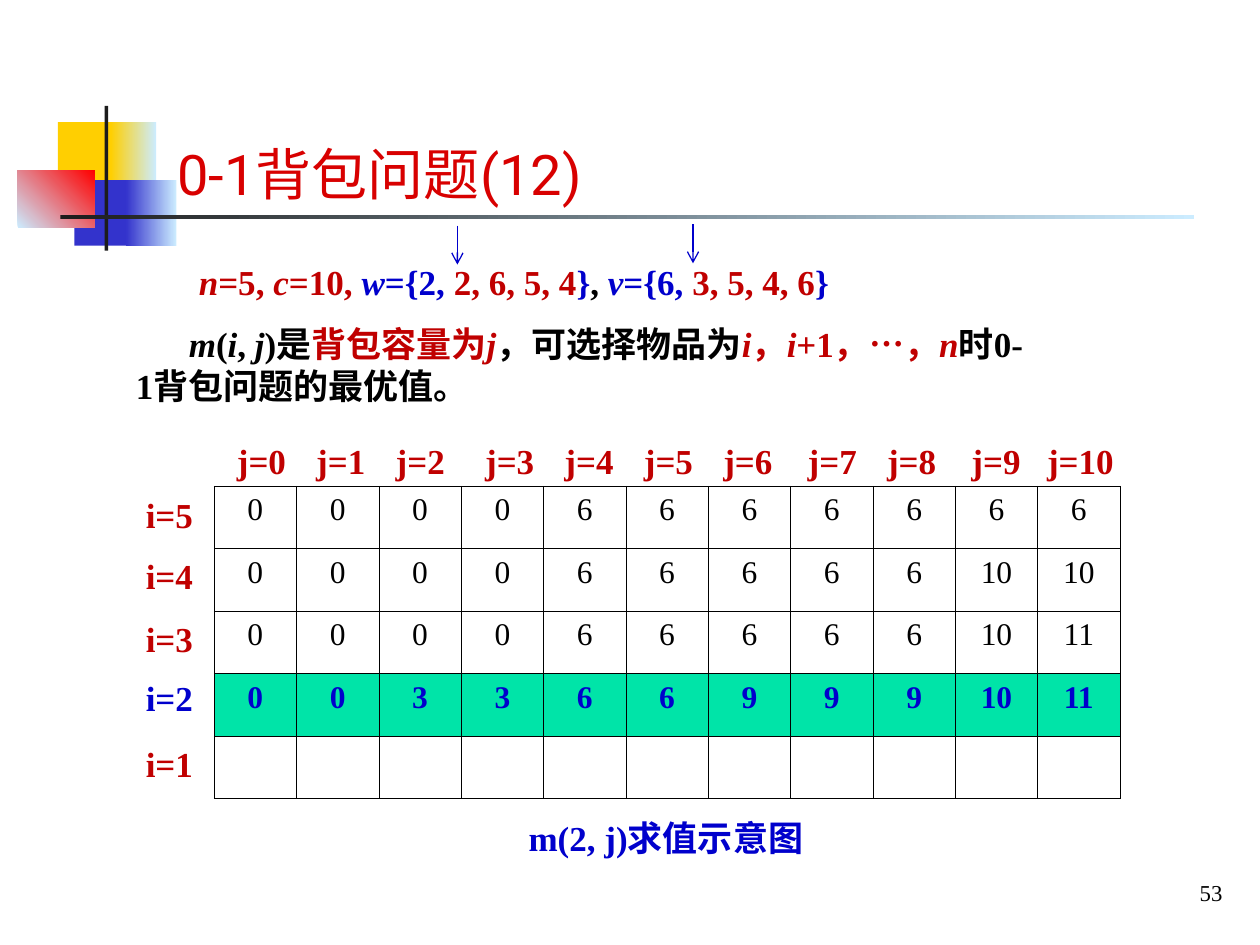
import dataclasses

import lxml.etree
import pptx
import pptx.dml.color
import pptx.enum.shapes
import pptx.enum.text
import pptx.oxml
import pptx.oxml.ns
import pptx.util

Inches = pptx.util.Inches
Pt = pptx.util.Pt
Align = pptx.enum.text.PP_ALIGN
Anchor = pptx.enum.text.MSO_ANCHOR
qn = pptx.oxml.ns.qn


@dataclasses.dataclass(frozen=True)
class Theme:
    body_font: str = "Times New Roman"
    title_font: str = "Roboto"
    title_color: str = "D80000"
    red: str = "C00000"
    blue: str = "0000CC"
    black: str = "000000"
    highlight: str = "00E4A8"
    yellow: str = "FFCF01"
    indigo: str = "3333CC"
    pale: str = "CCECFF"
    bright_red: str = "FF0000"
    charcoal: str = "1C1C1C"
    title_size: int = 32
    body_size: int = 20
    cell_size: int = 18
    number_size: int = 13


THEME = Theme()
VALUES = [
    [0, 0, 0, 0, 6, 6, 6, 6, 6, 6, 6],
    [0, 0, 0, 0, 6, 6, 6, 6, 6, 10, 10],
    [0, 0, 0, 0, 6, 6, 6, 6, 6, 10, 11],
    [0, 0, 3, 3, 6, 6, 9, 9, 9, 10, 11],
    [""] * 11,
]
HIGHLIGHT_ROW = 3
ROW_LABEL_TOPS = [0.01, 0.49, 0.99, 1.46, 1.98]
COLUMN_LABEL_LEFTS = [0.08, 0.71, 1.34, 2.05, 2.68, 3.31, 3.94, 4.61, 5.24, 5.91, 6.51]


def rgb(color):
    return pptx.dml.color.RGBColor.from_string(color)


def style_font(font, size, color, name=THEME.body_font, bold=False):
    font.name = name
    font.size = Pt(size)
    font.bold = bold
    font.color.rgb = rgb(color)


def add_text_box(slide, left, top, width, height, wrap=False, anchor=Anchor.TOP):
    shape = slide.shapes.add_textbox(Inches(left), Inches(top), Inches(width), Inches(height))
    shape.text_frame.word_wrap = wrap
    shape.text_frame.vertical_anchor = anchor
    return shape.text_frame.paragraphs[0]


def add_label(slide, box, text, color, size=THEME.body_size, align=Align.CENTER,
              name=THEME.body_font, bold=True, anchor=Anchor.TOP):
    paragraph = add_text_box(slide, *box, anchor=anchor)
    paragraph.text = text
    paragraph.alignment = align
    style_font(paragraph.font, size, color, name, bold)


def add_rich_text(slide, box, pieces, wrap=False):
    paragraph = add_text_box(slide, *box, wrap=wrap)
    style_font(paragraph.font, THEME.body_size, THEME.black, bold=True)
    for text, color, italic in pieces:
        run = paragraph.add_run()
        run.text = text
        style_font(run.font, THEME.body_size, color, bold=True)
        run.font.italic = italic
    return paragraph


def add_block(slide, left, top, width, height, color, end_color=None, angle=0):
    shape = slide.shapes.add_shape(pptx.enum.shapes.MSO_SHAPE.RECTANGLE,
                                   Inches(left), Inches(top), Inches(width), Inches(height))
    shape.shadow.inherit = False
    shape.line.fill.background()
    if end_color is None:
        shape.fill.solid()
        shape.fill.fore_color.rgb = rgb(color)
        return
    shape.fill.gradient()
    shape.fill.gradient_angle = angle
    for stop, stop_color in zip(shape.fill.gradient_stops, (color, end_color)):
        stop.color.rgb = rgb(stop_color)


def add_ornament(slide, left, top):
    theme = THEME
    add_block(slide, left + 0.32, top + 0.13, 0.48, 0.52, theme.yellow)
    add_block(slide, left + 0.74, top + 0.13, 0.36, 0.52, theme.yellow, theme.pale)
    add_block(slide, left + 0.45, top + 0.59, 0.46, 0.52, theme.indigo)
    add_block(slide, left + 0.86, top + 0.59, 0.4, 0.52, theme.indigo, theme.pale)
    add_block(slide, left, top + 0.51, 0.61, 0.46, theme.pale, theme.bright_red, 45)
    add_block(slide, left + 0.69, top, 0.03, 1.15, theme.charcoal)
    add_block(slide, left + 0.34, top + 0.87, 9, 0.03, theme.charcoal, theme.pale)


def add_arrow(slide, x, top, length):
    connector = slide.shapes.add_connector(pptx.enum.shapes.MSO_CONNECTOR.STRAIGHT,
                                           Inches(x), Inches(top), Inches(x), Inches(top + length))
    connector.line.color.rgb = rgb(THEME.blue)
    connector.line.width = Pt(0.75)
    line = connector.line._get_or_add_ln()
    lxml.etree.SubElement(line, qn("a:tailEnd"), type="arrow")
    lxml.etree.SubElement(connector._element.spPr, qn("a:effectLst"))


def add_problem(slide, left, top):
    red, blue, black = THEME.red, THEME.blue, THEME.black
    add_rich_text(slide, (left + 0.5, top, 5.27, 0.44), [
        ("n", red, True), ("=5, ", red, False), ("c", red, True), ("=10, ", red, False),
        ("w", blue, True), ("={2, ", blue, False), ("2, 6, 5, 4", red, False),
        ("}", blue, False), (", ", black, False),
        ("v", blue, True), ("={6, ", blue, False), ("3, 5, 4, 6", red, False),
        ("}", blue, False),
    ])
    definition = add_rich_text(slide, (left, top + 0.49, 7.24, 0.77), [
        ("m", black, True), ("(", black, False), ("i", black, True), (", ", black, False),
        ("j", black, True), (")是", black, False), ("背包容量为", red, False),
        ("j", red, True), ("，可选择物品为", black, False), ("i", red, True),
        ("，", red, False), ("i", red, True), ("+1，…，", red, False),
        ("n", red, True), ("时0-1背包问题的最优值。", black, False),
    ], wrap=True)
    definition._p.get_or_add_pPr().set("indent", str(Inches(0.42)))
    add_arrow(slide, left + 4.52, top - 0.24, 0.31)
    add_arrow(slide, left + 2.65, top - 0.23, 0.31)


def set_borders(cell):
    properties = cell._tc.get_or_add_tcPr()
    for position, side in enumerate(("lnL", "lnR", "lnT", "lnB")):
        line = lxml.etree.Element(qn("a:" + side), w=str(Pt(0.45)))
        fill = lxml.etree.SubElement(line, qn("a:solidFill"))
        lxml.etree.SubElement(fill, qn("a:srgbClr"), val=THEME.black)
        properties.insert(position, line)


def add_value_table(slide, left, top, width, height):
    rows, columns = len(VALUES), len(VALUES[0])
    table = slide.shapes.add_table(rows, columns, Inches(left), Inches(top),
                                   Inches(width), Inches(height)).table
    table.first_row = False
    table.horz_banding = False
    for row, values in enumerate(VALUES):
        highlighted = row == HIGHLIGHT_ROW
        color = THEME.blue if highlighted else THEME.black
        for column, value in enumerate(values):
            cell = table.cell(row, column)
            paragraph = cell.text_frame.paragraphs[0]
            paragraph.text = str(value)
            paragraph.alignment = Align.CENTER
            style_font(paragraph.font, THEME.cell_size, color, bold=highlighted)
            if highlighted:
                cell.fill.solid()
                cell.fill.fore_color.rgb = rgb(THEME.highlight)
            else:
                cell.fill.background()
            set_borders(cell)
    for row, offset in enumerate(ROW_LABEL_TOPS):
        color = THEME.blue if row == HIGHLIGHT_ROW else THEME.red
        add_label(slide, (left - 0.69, top + offset, 0.67, 0.44), f"i={rows - row}", color)
    for column, offset in enumerate(COLUMN_LABEL_LEFTS):
        label_width = 0.59 if column < 10 else 0.73
        add_label(slide, (left + offset, top - 0.42, label_width, 0.44), f"j={column}", THEME.red)
    add_label(slide, (left + 2.33, top + height + 0.09, 2.51, 0.44),
              "m(2, j)求值示意图", THEME.blue)


def main():
    presentation = pptx.Presentation()
    presentation.slide_width = Inches(10)
    presentation.slide_height = Inches(7.5)
    slide = presentation.slides.add_slide(presentation.slide_layouts[6])
    add_ornament(slide, 0.14, 0.84)
    add_label(slide, (1.31, 0.6, 8.42, 1.09), "0-1背包问题(12)", THEME.title_color,
              THEME.title_size, Align.LEFT, THEME.title_font, False, Anchor.BOTTOM)
    add_problem(slide, 0.98, 2.02)
    add_value_table(slide, 1.7, 3.86, 7.19, 2.48)
    add_label(slide, (7.89, 6.9, 1.91, 0.37), "53", THEME.black, THEME.number_size,
              Align.RIGHT, bold=False, anchor=Anchor.MIDDLE)
    presentation.save("out.pptx")


if __name__ == "__main__":
    main()
